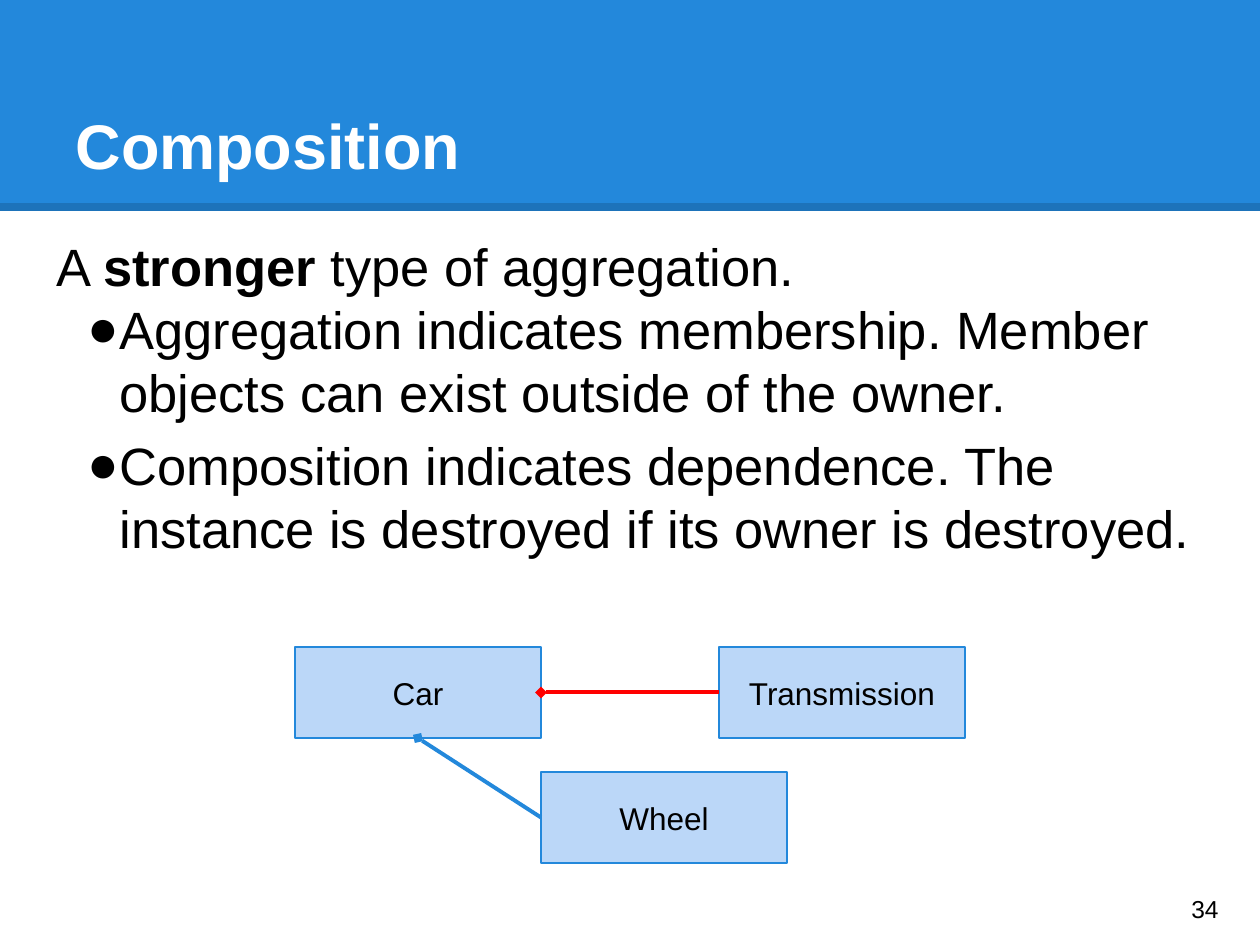
from lxml.etree import SubElement
from pptx import Presentation
from pptx.dml.color import RGBColor
from pptx.enum.shapes import MSO_CONNECTOR, MSO_SHAPE
from pptx.enum.text import MSO_ANCHOR, MSO_AUTO_SIZE, PP_ALIGN
from pptx.oxml.ns import qn
from pptx.util import Pt

EMU_PER_PX = 914400 / 126
BLUE = RGBColor(0x23, 0x88, 0xDB)
PALE_BLUE = RGBColor(0xBB, 0xD7, 0xF8)
RED = RGBColor(0xFF, 0x00, 0x00)
BLACK = RGBColor(0x00, 0x00, 0x00)
WHITE = RGBColor(0xFF, 0xFF, 0xFF)
BOX_WIDTH, BOX_HEIGHT = 246, 91
LEFT_SITE, BOTTOM_SITE, RIGHT_SITE = 1, 2, 3


def px(*lengths):
    return [round(length * EMU_PER_PX) for length in lengths]


def prepare_frame(shape, anchor):
    frame = shape.text_frame
    frame.word_wrap = True
    frame.auto_size = MSO_AUTO_SIZE.NONE
    frame.vertical_anchor = anchor
    frame.margin_left = frame.margin_right = Pt(7.2)
    frame.margin_top = frame.margin_bottom = Pt(7.2)
    return frame


def format_runs(paragraph, size, color, bold=False):
    for run in paragraph.runs:
        run.font.name = "Arial"
        run.font.size = Pt(size)
        run.font.color.rgb = color
        run.font.bold = bold


def add_rectangle(slide, left, top, width, height, fill):
    shape = slide.shapes.add_shape(MSO_SHAPE.RECTANGLE, *px(left, top, width, height))
    shape.shadow.inherit = False
    shape.fill.solid()
    shape.fill.fore_color.rgb = fill
    shape.line.fill.background()
    return shape


def add_line(slide, color, width, start=(0, 0), end=(0, 0)):
    line = slide.shapes.add_connector(MSO_CONNECTOR.STRAIGHT, *px(*start, *end))
    line.line.color.rgb = color
    line.line.width = Pt(width)
    SubElement(line._element.spPr, qn("a:effectLst"))
    return line


def add_header(slide):
    add_rectangle(slide, 0, 0, 1260, 211, BLUE)
    rule = add_line(slide, BLACK, 4.5, (0, 207), (1260, 207))
    color = rule.line._ln.find(".//" + qn("a:srgbClr"))
    SubElement(color, qn("a:alpha"), val="15000")


def set_title(slide, text):
    title = slide.shapes.title
    title.left, title.top, title.width, title.height = px(63, 38, 1134, 157)
    frame = prepare_frame(title, MSO_ANCHOR.BOTTOM)
    frame.text = text
    frame.paragraphs[0].alignment = PP_ALIGN.LEFT
    format_runs(frame.paragraphs[0], 36, WHITE, bold=True)
    # Keep the title in front of the header band.
    slide.shapes._spTree.append(title._element)


def add_bullet(paragraph):
    properties = paragraph._p.get_or_add_pPr()
    indent, hanging = px(63, -32)
    properties.set("marL", str(indent))
    properties.set("indent", str(hanging))
    color = SubElement(properties, qn("a:buClr"))
    SubElement(color, qn("a:srgbClr"), val=str(BLACK))
    SubElement(properties, qn("a:buFont"), typeface="Arial")
    SubElement(properties, qn("a:buChar"), char="●")


def add_body(slide):
    box = slide.shapes.add_textbox(*px(44, 221, 1216, 122))
    frame = prepare_frame(box, MSO_ANCHOR.TOP)
    introduction = frame.paragraphs[0]
    for text in ("A ", "stronger", " type of aggregation."):
        introduction.add_run().text = text
    format_runs(introduction, 30, BLACK)
    introduction.runs[1].font.bold = True
    bullets = (
        ("Aggregation indicates membership. Member objects can exist outside of the owner.", 0),
        ("Composition indicates dependence. The instance is destroyed if its owner is destroyed.", 6),
    )
    for text, space_before in bullets:
        paragraph = frame.add_paragraph()
        paragraph.text = text
        add_bullet(paragraph)
        paragraph.space_before = Pt(space_before)
        format_runs(paragraph, 30, BLACK)


def add_class_box(slide, name, left, top):
    box = add_rectangle(slide, left, top, BOX_WIDTH, BOX_HEIGHT, PALE_BLUE)
    box.line.color.rgb = BLUE
    box.line.width = Pt(1.5)
    frame = prepare_frame(box, MSO_ANCHOR.MIDDLE)
    frame.text = name
    frame.paragraphs[0].alignment = PP_ALIGN.CENTER
    format_runs(frame.paragraphs[0], 18, BLACK)
    return box


def add_composition(slide, part, owner, owner_site, color):
    """Join the left side of a part to its owner, with a diamond at the owner."""
    line = add_line(slide, color, 2.25)
    line.begin_connect(part, LEFT_SITE)
    line.end_connect(owner, owner_site)
    SubElement(line.line._ln, qn("a:tailEnd"), type="diamond")


def add_class_diagram(slide):
    car_left, top = 295, 647
    car = add_class_box(slide, "Car", car_left, top)
    transmission = add_class_box(slide, "Transmission", 719, top)
    wheel = add_class_box(slide, "Wheel", car_left + BOX_WIDTH, 772)
    add_composition(slide, transmission, car, RIGHT_SITE, RED)
    add_composition(slide, wheel, car, BOTTOM_SITE, BLUE)


def add_page_number(slide, number):
    box = slide.shapes.add_textbox(*px(1179, 873, 76, 72))
    frame = prepare_frame(box, MSO_ANCHOR.MIDDLE)
    frame.text = number
    format_runs(frame.paragraphs[0], 14, BLACK)


def main():
    presentation = Presentation()
    presentation.slide_width, presentation.slide_height = px(1260, 945)
    slide = presentation.slides.add_slide(presentation.slide_layouts[5])
    add_header(slide)
    set_title(slide, "Composition")
    add_body(slide)
    add_class_diagram(slide)
    add_page_number(slide, "34")
    presentation.save("out.pptx")


if __name__ == "__main__":
    main()
